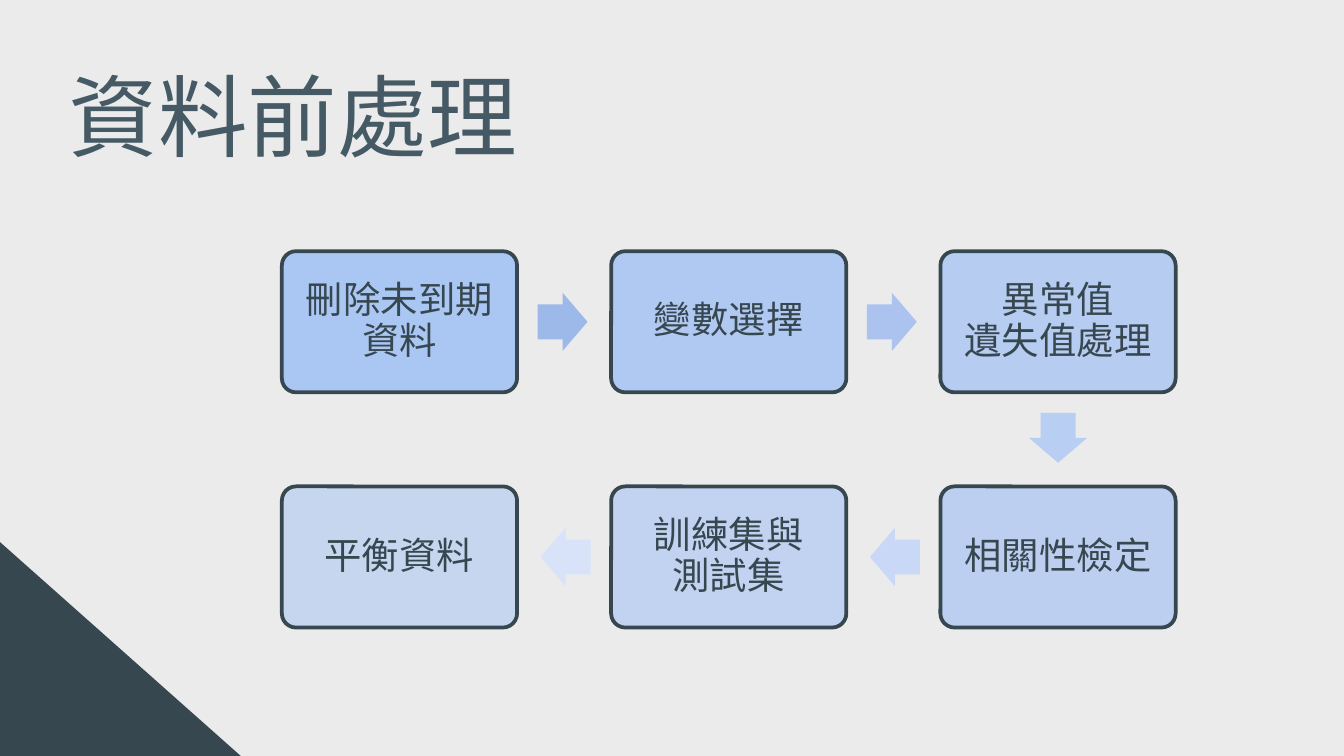
from lxml.etree import SubElement
from pptx import Presentation
from pptx.dml.color import RGBColor
from pptx.enum.shapes import MSO_SHAPE
from pptx.enum.text import MSO_ANCHOR, PP_ALIGN
from pptx.oxml.ns import qn
from pptx.util import Pt

FONT = "Noto Sans CJK SC"
DARK = "37474F"
STEPS = [
    ("刪除未到期資料", 0, 0),
    ("變數選擇", 1, 0),
    ("異常值\v遺失值處理", 2, 0),
    ("相關性檢定", 2, 1),
    ("訓練集與\v測試集", 1, 1),
    ("平衡資料", 0, 1),
]
ARROW_COLORS = ["9DB9E9", "ABC3EE", "B9CEF3", "C8D8F6", "D8E3FA"]
ROTATIONS = {(1, 0): 0, (0, 1): 90, (-1, 0): 180}


def color(hex_value):
    """Return the colour for a hex string."""
    return RGBColor.from_string(hex_value)


def set_values(target, values):
    """Set every attribute named in a dict of format values."""
    for name, value in values.items():
        setattr(target, name, value)


def write_text(shape, text, size, text_color, margin, frame_values, paragraph_values):
    """Write one formatted paragraph into a shape."""
    frame = shape.text_frame
    sides = ("left", "top", "right", "bottom")
    margins = {f"margin_{side}": Pt(margin) for side in sides}
    set_values(frame, {"word_wrap": True, **margins, **frame_values})
    paragraph = frame.paragraphs[0]
    paragraph.text = text
    set_values(paragraph, paragraph_values)
    for run in paragraph.runs:
        set_values(run.font, {"name": FONT, "size": Pt(size)})
        run.font.color.rgb = color(text_color)
        SubElement(run.font._element, qn("a:ea"), typeface=FONT)


def add_filled_shape(slide, kind, box, fill, opacity=100):
    """Add a preset shape with a solid fill and no line or shadow."""
    shape = slide.shapes.add_shape(kind, *(Pt(length) for length in box))
    shape.shadow.inherit = False
    shape.fill.solid()
    shape.fill.fore_color.rgb = color(fill)
    shape.line.fill.background()
    if opacity < 100:
        fill_color = shape._element.spPr.find(qn("a:solidFill"))[0]
        SubElement(fill_color, qn("a:alpha"), val=str(opacity * 1000))
    return shape


def add_title(slide, box):
    """Add the slide title."""
    title = slide.shapes.add_textbox(*(Pt(length) for length in box))
    write_text(title, "資料前處理", 48, "455A64", 7.2,
               {"vertical_anchor": MSO_ANCHOR.TOP}, {"line_spacing": 1.15})


def add_card(slide, box, text, opacity):
    """Add one rounded step card."""
    card = add_filled_shape(slide, MSO_SHAPE.ROUNDED_RECTANGLE, box, "A4C2F4", opacity)
    card.adjustments[0] = 0.1
    card.line.color.rgb = color(DARK)
    card.line.width = Pt(2)
    write_text(card, text, 20, DARK, 8, {"vertical_anchor": MSO_ANCHOR.MIDDLE},
               {"alignment": PP_ALIGN.CENTER, "line_spacing": 0.9})


def add_arrow(slide, center_x, center_y, rotation, fill):
    """Add a block arrow around a centre point."""
    width, height = 26.7, 31.2
    box = (center_x - width / 2, center_y - height / 2, width, height)
    arrow = add_filled_shape(slide, MSO_SHAPE.RIGHT_ARROW, box, fill)
    set_values(arrow, {"rotation": rotation})
    arrow.adjustments[0] = 0.6
    arrow.adjustments[1] = 0.5


def add_process(slide, box):
    """Add the snaking grid of step cards with arrows between them."""
    left, top, width, height = box
    card_width, card_height = 126, 75.6
    column_step = (width - card_width) / 2
    row_step = height - card_height
    setback = 0.8
    for index, (text, column, row) in enumerate(STEPS):
        x, y = left + column * column_step, top + row * row_step
        add_card(slide, (x, y, card_width, card_height), text, 90 - 8 * index)
        if index < len(ARROW_COLORS):
            _, next_column, next_row = STEPS[index + 1]
            across, down = next_column - column, next_row - row
            center_x = x + card_width / 2 + across * (column_step / 2 - setback)
            center_y = y + card_height / 2 + down * (row_step / 2 - setback)
            add_arrow(slide, center_x, center_y, ROTATIONS[across, down], ARROW_COLORS[index])


def main():
    """Build and save the slide."""
    presentation = Presentation()
    set_values(presentation, {"slide_width": Pt(720), "slide_height": Pt(405)})
    slide = presentation.slides.add_slide(presentation.slide_layouts[6])
    slide.background.fill.solid()
    slide.background.fill.fore_color.rgb = color("EBEBEB")
    add_filled_shape(slide, MSO_SHAPE.RIGHT_TRIANGLE, (0, 290.4, 129, 114.6), DARK)
    add_title(slide, (29.7, 16.6, 273, 79.2))
    add_process(slide, (151, 134.6, 478.8, 201.6))
    presentation.save("out.pptx")


if __name__ == "__main__":
    main()
